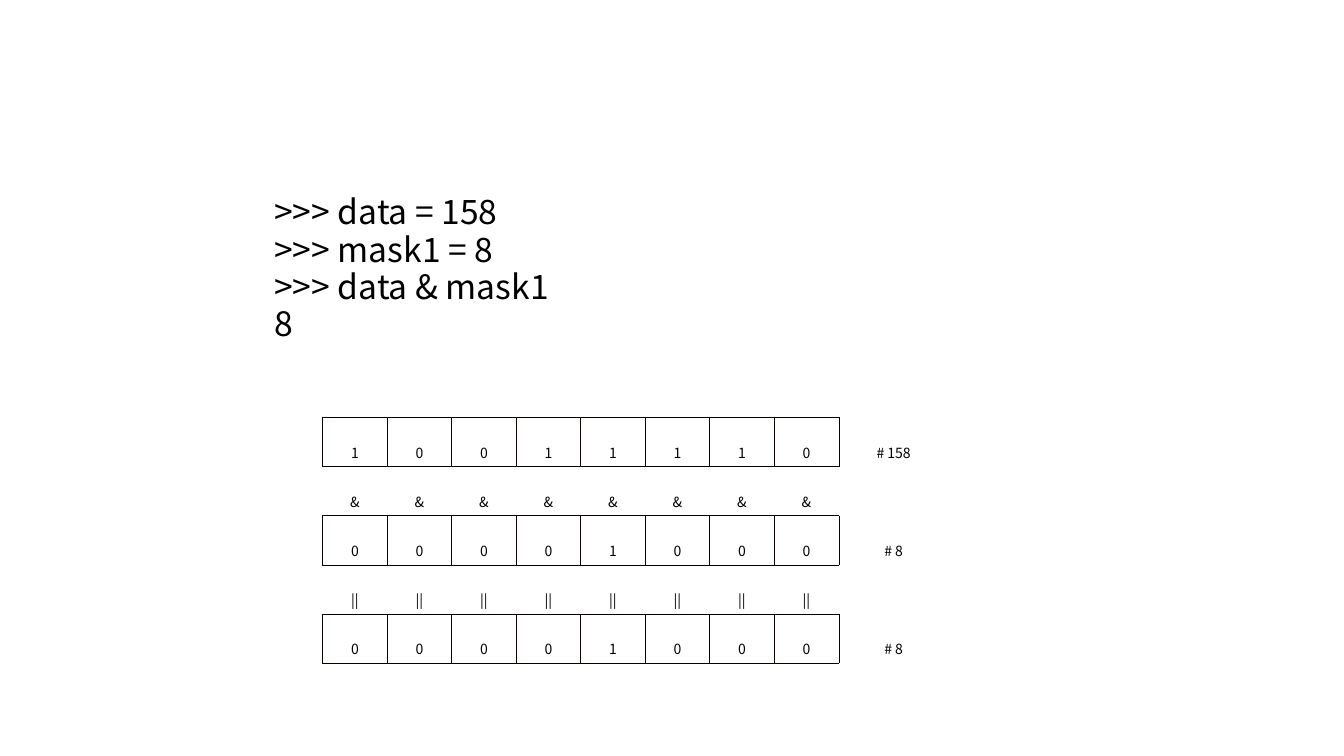
from lxml import etree
from pptx import Presentation, util as u
from pptx.dml.color import RGBColor
from pptx.enum import text
from pptx.oxml.ns import qn

BLACK = RGBColor(0, 0, 0)
WHITE = RGBColor(255, 255, 255)
BORDER = RGBColor(0x0A, 0, 0)

CODE = [">>> data = 158", ">>> mask1 = 8", ">>> data & mask1", "8"]
BIT_ROWS = [
    ("10011110", "# 158"),
    ("&" * 8, ""),
    ("00001000", "# 8"),
    (["||"] * 8, ""),
    ("00001000", "# 8"),
]


class Deck:
    font = "Noto Sans CJK KR"

    def __init__(self):
        self.prs = Presentation()
        self.prs.slide_width = u.Inches(13.33)
        self.prs.slide_height = u.Inches(7.5)
        self.s = self.prs.slides.add_slide(self.prs.slide_layouts[1])
        title = self.s.shapes.title
        title.element.getparent().remove(title.element)

    def style(self, p, size, spacing):
        p.font.name = self.font
        p.font.size = u.Pt(size)
        p.font.color.rgb = BLACK
        p.line_spacing = spacing

    def code(self, lines, left, top, width, height):
        sp = self.s.placeholders[1]
        sp.left, sp.top, sp.width, sp.height = map(u.Inches, (left, top, width, height))
        tf = sp.text_frame
        tf.auto_size = text.MSO_AUTO_SIZE.NONE
        tf.vertical_anchor = text.MSO_ANCHOR.TOP
        tf.text = "\n".join(lines)
        for p in tf.paragraphs:
            p.level = 1
            self.style(p, 24, 0.75)
            p.space_before = u.Pt(5)
            pPr = p._p.get_or_add_pPr()
            pPr.set("marL", str(u.Inches(0.45)))
            pPr.set("indent", "0")
            pPr.insert_element_before(etree.Element(qn("a:buNone")), "a:tabLst", "a:defRPr")

    def borders(self, cell, sides):
        tcPr = cell._tc.get_or_add_tcPr()
        for i, side in enumerate("LRTB"):
            ln = etree.Element(qn("a:ln" + side), w=str(u.Pt(0.28)))
            if side in sides:
                fill = etree.SubElement(ln, qn("a:solidFill"))
                etree.SubElement(fill, qn("a:srgbClr"), val=str(BORDER))
            else:
                etree.SubElement(ln, qn("a:noFill"))
            tcPr.insert(i, ln)

    def cell(self, cell, value, sides):
        cell.fill.solid()
        cell.fill.fore_color.rgb = WHITE
        cell.vertical_anchor = text.MSO_ANCHOR.MIDDLE
        cell.margin_left = cell.margin_right = u.Inches(0.07)
        cell.margin_top = cell.margin_bottom = u.Inches(0.02)
        cell.text = value
        p = cell.text_frame.paragraphs[0]
        p.alignment = text.PP_ALIGN.CENTER
        self.style(p, 10, 2.0)
        self.borders(cell, sides)

    def bit_table(self, rows, left, top, width, height):
        box = map(u.Inches, (left, top, width, height))
        table = self.s.shapes.add_table(len(rows), 10, *box).table
        table.first_row = table.horz_banding = False
        for i, column in enumerate(table.columns):
            column.width = u.Inches(0.45 if i == 9 else 0.64)
        for r, (values, label) in enumerate(rows):
            for c, value in enumerate(values):
                self.cell(table.cell(r, c), value, "LRTB" if label else "TB")
            self.cell(table.cell(r, 8), label, "L" if label else "")
            self.cell(table.cell(r, 9), "", "")
            if r != 1:
                table.cell(r, 8).merge(table.cell(r, 9))


def main():
    deck = Deck()
    deck.code(CODE, 2.17, 1.94, 9, 2.13)
    deck.bit_table(BIT_ROWS, 3.2, 4.14, 6.22, 2.44)
    deck.prs.save("out.pptx")


if __name__ == "__main__":
    main()
